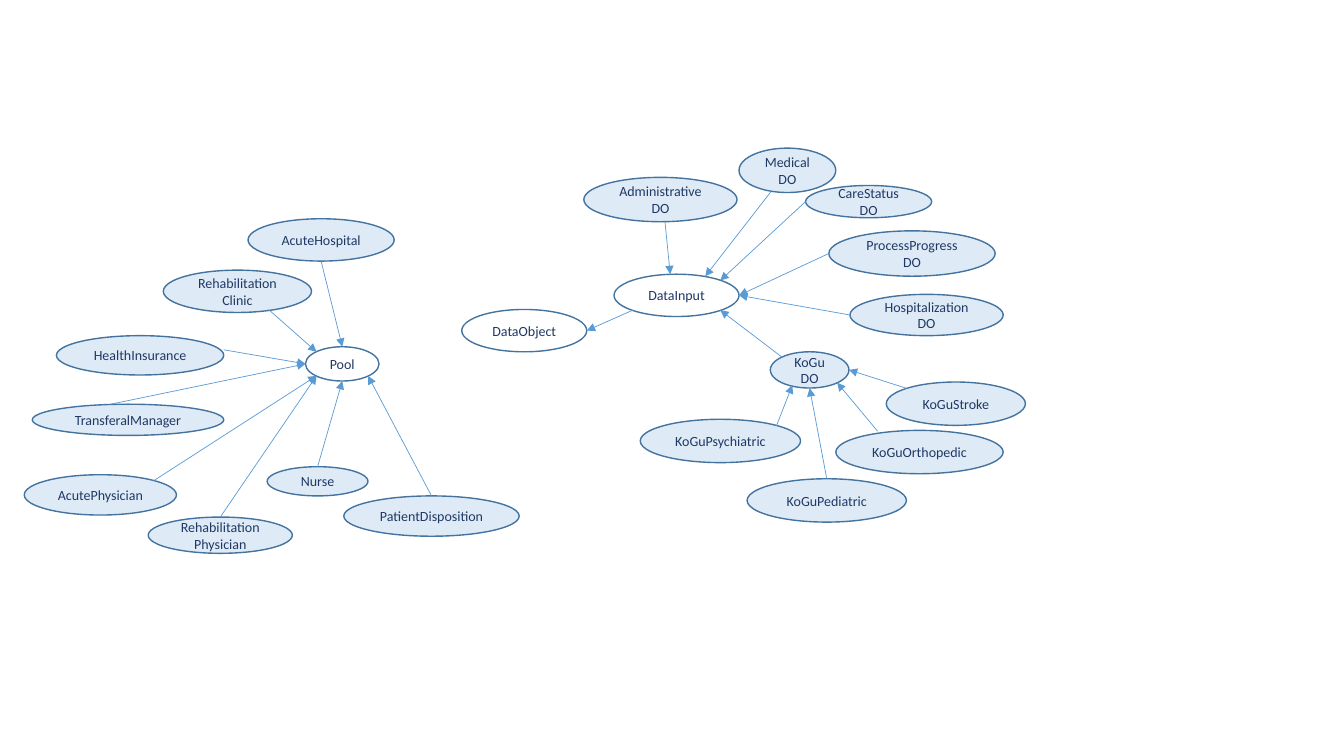
from dataclasses import dataclass

from lxml.etree import SubElement
from pptx import Presentation
from pptx.dml.color import RGBColor
from pptx.enum.shapes import MSO_CONNECTOR, MSO_SHAPE
from pptx.enum.text import MSO_ANCHOR, PP_ALIGN
from pptx.oxml.ns import qn
from pptx.util import Inches, Pt


@dataclass(frozen=True)
class Theme:
    font: str = "Calibri"
    text_size: float = 10
    text: str = "203864"
    outline: str = "43739E"
    outline_width: float = 1
    leaf_fill: str = "DEEBF7"
    arrow: str = "5B9BD5"
    arrow_width: float = 0.5
    cell: float = 0.1  # inches per grid column and row


# Places on an ellipse, as shares of its width and height
NEAR, FAR = 0.15, 0.85
TOP, BOTTOM, LEFT, RIGHT = (0.5, 0), (0.5, 1), (0, 0.5), (1, 0.5)
TOP_LEFT, TOP_RIGHT = (NEAR, NEAR), (FAR, NEAR)
BOTTOM_LEFT, BOTTOM_RIGHT = (NEAR, FAR), (FAR, FAR)

# Label: column, row, columns wide, rows high; a space starts a new line
PARENTS = {
    "DataInput": (60.9, 27.2, 12.4, 4.2),
    "Pool": (30.3, 34.4, 7.3, 3.4),
    "DataObject": (45.8, 30.7, 12.4, 4.2),
}
LEAVES = {
    "TransferalManager": (3.2, 40.1, 19, 3.1),
    "Nurse": (26.5, 46.3, 10, 2.9),
    "AcutePhysician": (2.4, 47.1, 15.1, 4),
    "HealthInsurance": (5.6, 33.3, 16.6, 3.9),
    "Rehabilitation Clinic": (16.2, 26.8, 14.7, 4.2),
    "Rehabilitation Physician": (14.7, 51.3, 14.3, 3.6),
    "PatientDisposition": (34.1, 49.2, 17.4, 4),
    "AcuteHospital": (24.6, 21.7, 14.5, 4.2),
    "KoGuStroke": (87.9, 37.9, 13.8, 4.3),
    "KoGu DO": (76.4, 34.9, 7.8, 3.6),
    "Hospitalization DO": (84.3, 29.2, 15.2, 4.1),
    "ProcessProgress DO": (82.2, 22.9, 16.5, 4.5),
    "CareStatus DO": (79.9, 18.4, 12.5, 3.2),
    "Medical DO": (73.3, 14.7, 9.6, 4.4),
    "Administrative DO": (57.9, 17.6, 15.2, 4.4),
    "KoGuOrthopedic": (82.9, 42.7, 16.6, 4.3),
    "KoGuPediatric": (74.1, 47.5, 15.8, 4.3),
    "KoGuPsychiatric": (63.5, 41.6, 15.9, 4.3),
}

# Parent: child, place on the child, place on the parent
LINKS = {
    "Pool": [
        ("TransferalManager", (0.41, 0), LEFT),
        ("AcutePhysician", TOP_RIGHT, BOTTOM_LEFT),
        ("Nurse", TOP, BOTTOM),
        ("HealthInsurance", (1, 0.36), LEFT),
        ("Rehabilitation Clinic", (0.71, 0.93), TOP_LEFT),
        ("AcuteHospital", BOTTOM, TOP),
        ("Rehabilitation Physician", TOP, BOTTOM_LEFT),
        ("PatientDisposition", TOP, BOTTOM_RIGHT),
    ],
    "DataInput": [
        ("Administrative DO", (0.53, 1), (0.45, 0)),
        ("Medical DO", (0.33, 0.98), (0.73, 0.05)),
        ("CareStatus DO", LEFT, TOP_RIGHT),
        ("ProcessProgress DO", LEFT, RIGHT),
        ("Hospitalization DO", LEFT, RIGHT),
        ("KoGu DO", TOP_LEFT, BOTTOM_RIGHT),
    ],
    "KoGu DO": [
        ("KoGuStroke", TOP_LEFT, RIGHT),
        ("KoGuOrthopedic", (0.25, 0.02), BOTTOM_RIGHT),
        ("KoGuPsychiatric", TOP_RIGHT, (0.28, 0.92)),
        ("KoGuPediatric", TOP, BOTTOM),
    ],
    "DataObject": [("DataInput", BOTTOM_LEFT, RIGHT)],
}


def set_all(target, values):
    for name, value in values.items():
        setattr(target, name, value)


def place_on(box, shares):
    across, down = shares
    return int(box.left + across * box.width), int(box.top + down * box.height)


class Diagram:
    def __init__(self, page, theme):
        self.page = page
        self.theme = theme
        self.boxes = {}

    def set_line(self, line, color, width):
        line.color.rgb = RGBColor.from_string(color)
        line.width = Pt(width)

    def node(self, label, place, fill=None):
        theme = self.theme
        box = self.page.shapes.add_shape(
            MSO_SHAPE.OVAL, *(Inches(cells * theme.cell) for cells in place))
        box.shadow.inherit = False
        if fill:
            box.fill.solid()
            box.fill.fore_color.rgb = RGBColor.from_string(fill)
        else:
            box.fill.background()
        self.set_line(box.line, theme.outline, theme.outline_width)
        set_all(box.text_frame, {
            "word_wrap": True, "vertical_anchor": MSO_ANCHOR.MIDDLE,
            "margin_left": 0, "margin_right": 0})
        para = box.text_frame.paragraphs[0]
        para.alignment = PP_ALIGN.CENTER
        for index, word in enumerate(label.split()):
            if index:
                para.add_line_break()
            span = para.add_run()
            span.text = word
            set_all(span.font, {"name": theme.font, "size": Pt(theme.text_size)})
            span.font.color.rgb = RGBColor.from_string(theme.text)
        self.boxes[label] = box

    def arrow(self, child, start, parent, end):
        link = self.page.shapes.add_connector(
            MSO_CONNECTOR.STRAIGHT,
            *place_on(self.boxes[child], start),
            *place_on(self.boxes[parent], end))
        self.set_line(link.line, self.theme.arrow, self.theme.arrow_width)
        SubElement(link.line._get_or_add_ln(), qn("a:tailEnd"), type="triangle")
        SubElement(link._element.spPr, qn("a:effectLst"))


def main():
    deck = Presentation()
    set_all(deck, {"slide_width": Inches(13.33), "slide_height": Inches(7.5)})
    theme = Theme()
    diagram = Diagram(deck.slides.add_slide(deck.slide_layouts[6]), theme)
    for nodes, fill in ((PARENTS, None), (LEAVES, theme.leaf_fill)):
        for label, place in nodes.items():
            diagram.node(label, place, fill)
    for parent, children in LINKS.items():
        for child, start, end in children:
            diagram.arrow(child, start, parent, end)
    deck.save("out.pptx")


if __name__ == "__main__":
    main()
